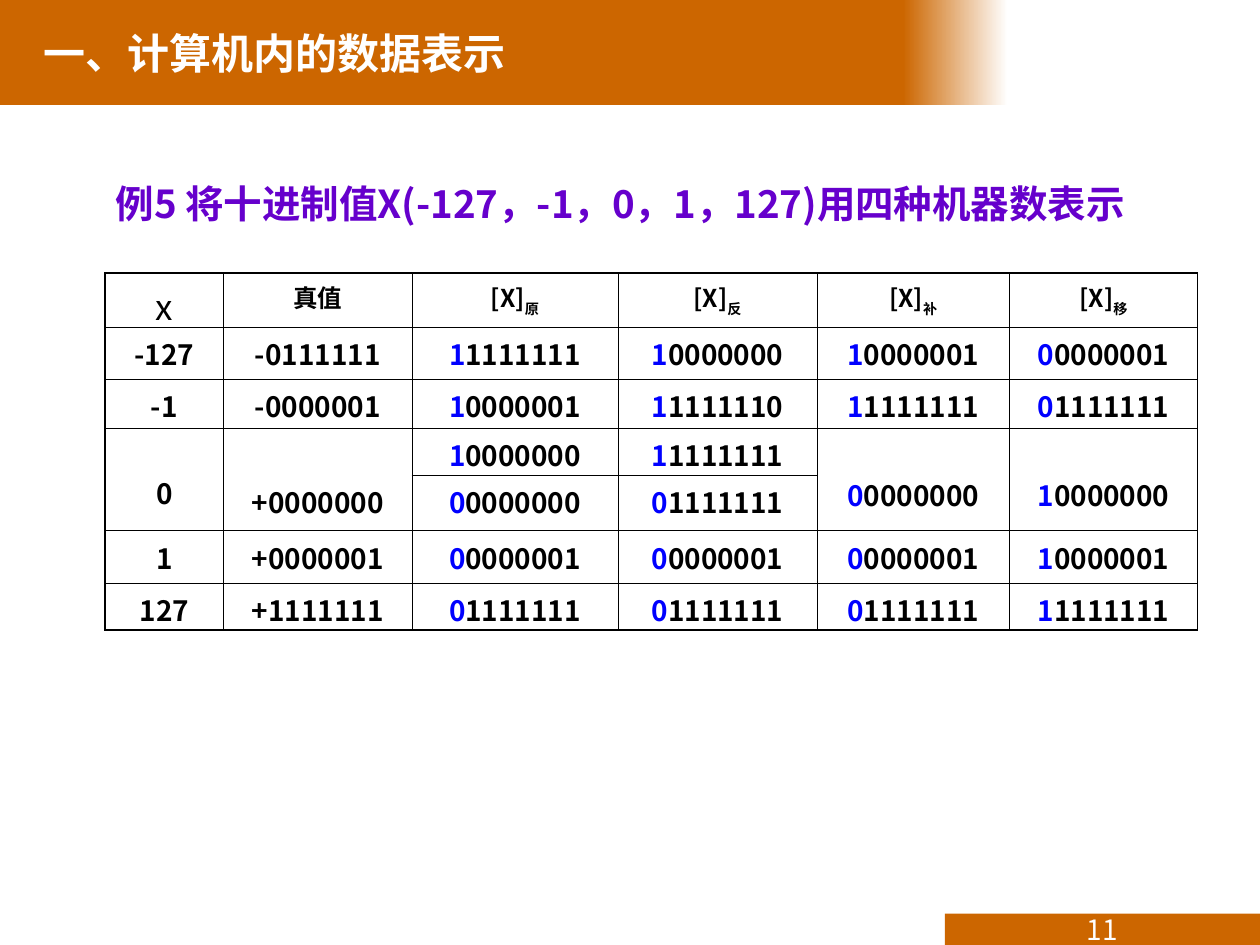
from lxml import etree
from pptx import Presentation, util as u
from pptx.dml.color import RGBColor
from pptx.enum import shapes, text
from pptx.oxml import ns

FONT = "Noto Sans CJK SC"
ORANGE, WHITE, BLACK, BLUE, PURPLE = "CC6600", "FFFFFF", "000000", "0000FF", "6600CC"

TITLE = "一、计算机内的数据表示"
EXAMPLE = "例5 将十进制值X(-127，-1，0，1，127)用四种机器数表示"
PAGE = "11"
HEADER = ["x", "真值", "原", "反", "补", "移"]
CODES = [
    ["-127", "-0111111", "11111111", "10000000", "10000001", "00000001"],
    ["-1", "-0000001", "10000001", "11111110", "11111111", "01111111"],
    ["0", "+0000000", "10000000", "11111111", "00000000", "10000000"],
    [None, None, "00000000", "01111111", None, None],
    ["1", "+0000001", "00000001", "00000001", "00000001", "10000001"],
    ["127", "+1111111", "01111111", "01111111", "01111111", "11111111"],
]
COLUMN_WIDTHS = [67.8, 107.6, 117.8, 113.8, 110, 107.4]
ROW_HEIGHTS = [31, 29.6, 28, 27, 31.8, 30, 26.8]
ZERO_ROW = 3
ZERO_TOPS = {0: 25, 1: 30.2, 4: 26.2, 5: 26.2}  # top margin of the merged cells
THIN, THICK = 0.45, 1.1


def rgb(value):
    return RGBColor.from_string(value)


def write(paragraph, content, color, **formats):
    run = paragraph.add_run()
    run.text = content
    for name, value in {"name": FONT, **formats}.items():
        setattr(run.font, name, value)
    run.font.color.rgb = rgb(color)
    properties = run.font._element
    etree.SubElement(properties, ns.qn("a:ea")).set("typeface", FONT)
    return properties


def add_bar(left, top, width, height):
    bar = slide.shapes.add_shape(shapes.MSO_SHAPE.RECTANGLE,
                                 *map(u.Pt, (left, top, width, height)))
    bar.shadow.inherit = False
    bar.line.fill.background()
    bar.fill.solid()
    bar.fill.fore_color.rgb = rgb(ORANGE)
    return bar


def add_line_of_text(content, color, size, left, top, width, height):
    frame = slide.shapes.add_textbox(*map(u.Pt, (left, top, width, height))).text_frame
    frame.word_wrap = True
    write(frame.paragraphs[0], content, color, size=u.Pt(size), bold=True)


def set_borders(cell, widths):
    properties = cell._tc.get_or_add_tcPr()
    for index, (side, width) in enumerate(widths.items()):
        line = etree.Element(ns.qn("a:ln" + side), w=str(u.Pt(width)))
        fill = etree.SubElement(line, ns.qn("a:solidFill"))
        etree.SubElement(fill, ns.qn("a:srgbClr")).set("val", BLACK)
        properties.insert(index, line)


deck = Presentation()
deck.slide_width, deck.slide_height = u.Pt(720), u.Pt(540)
slide = deck.slides.add_slide(deck.slide_layouts[6])

# Title band fading out to the right
add_bar(0, 0, 522, 60)
fade = add_bar(516, 0, 60, 60)
fade.fill.gradient()
fade.fill.gradient_angle = 0
for stop, color, position in zip(fade.fill.gradient_stops, (ORANGE, WHITE), (0, 1)):
    stop.color.rgb = rgb(color)
    stop.position = position

# Page number
footer = add_bar(540, 522, 180, 18).text_frame
footer.vertical_anchor = text.MSO_ANCHOR.MIDDLE
footer.paragraphs[0].alignment = text.PP_ALIGN.CENTER
write(footer.paragraphs[0], PAGE, WHITE, size=u.Pt(16))

# Title and example
add_line_of_text(TITLE, WHITE, 24, 18, 12, 306, 36)
add_line_of_text(EXAMPLE, PURPLE, 22, 59, 99.4, 661, 60)

# Table of machine codes
rows = [HEADER] + CODES
last_row, last_column = len(rows) - 1, len(HEADER) - 1
table = slide.shapes.add_table(len(rows), len(HEADER), u.Pt(60), u.Pt(156),
                               u.Pt(sum(COLUMN_WIDTHS)), u.Pt(sum(ROW_HEIGHTS))).table
table.first_row = table.horz_banding = False
for column, width in zip(table.columns, COLUMN_WIDTHS):
    column.width = u.Pt(width)
for row, height in zip(table.rows, ROW_HEIGHTS):
    row.height = u.Pt(height)
for c in ZERO_TOPS:
    table.cell(ZERO_ROW, c).merge(table.cell(ZERO_ROW + 1, c))

for r, row in enumerate(rows):
    for c, content in enumerate(row):
        cell = table.cell(r, c)
        cell.fill.solid()
        cell.fill.fore_color.rgb = rgb(WHITE)
        set_borders(cell, {"L": THIN if c else THICK,
                           "R": THICK if c == last_column else THIN,
                           "T": THIN if r else THICK,
                           "B": THICK if r == last_row else THIN})
        cell.margin_top = u.Pt(ZERO_TOPS.get(c, 3.6) if r == ZERO_ROW else 3.6)
        cell.margin_bottom = 0
        if content is None:
            continue
        paragraph = cell.text_frame.paragraphs[0]
        paragraph.alignment = text.PP_ALIGN.CENTER
        bold = {"size": u.Pt(16 if r else 14), "bold": True}
        if r == 0 and c == 0:
            write(paragraph, content, BLACK, size=u.Pt(20))
        elif c < 2:
            write(paragraph, content, BLACK, **bold)
        elif r == 0:
            write(paragraph, "[X]", BLACK, **bold)
            write(paragraph, content, BLACK, **bold).set("baseline", "-25000")
        else:  # sign bit, then the other bits
            write(paragraph, content[0], BLUE, **bold)
            write(paragraph, content[1:], BLACK, **bold)

deck.save("out.pptx")
